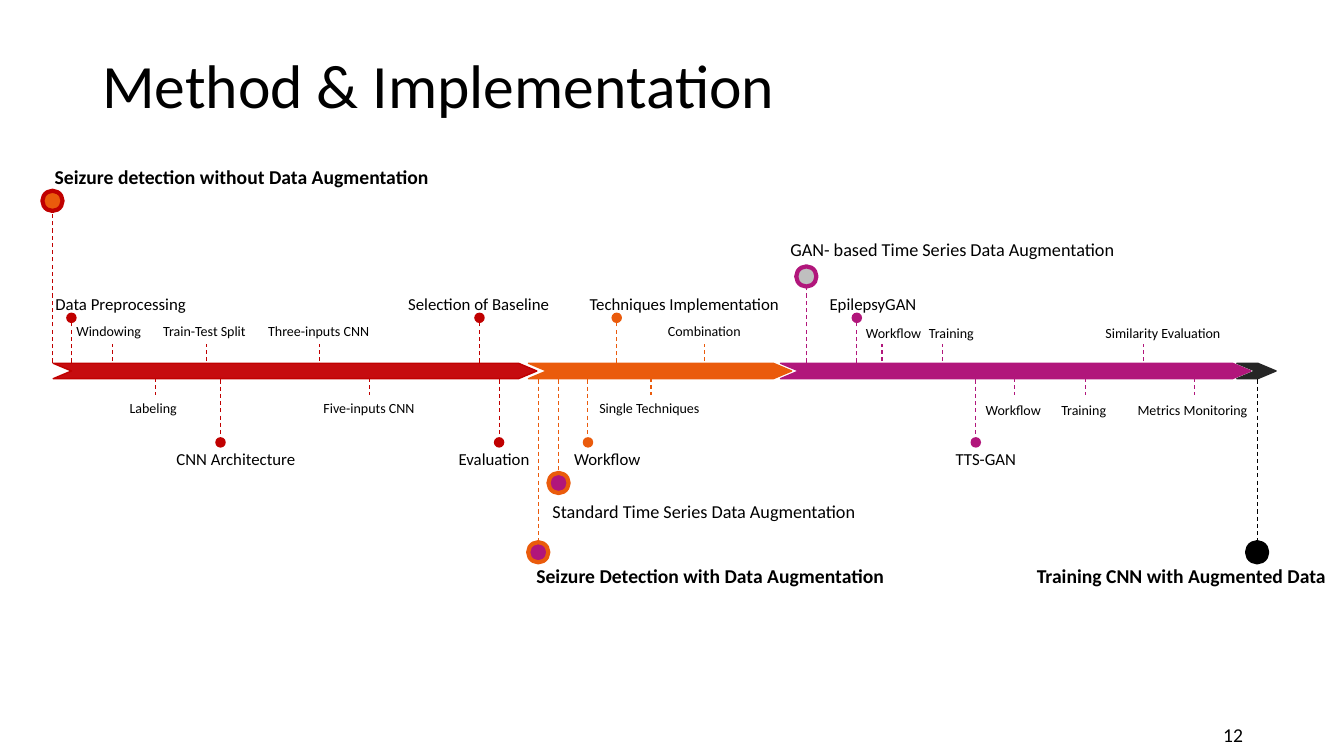
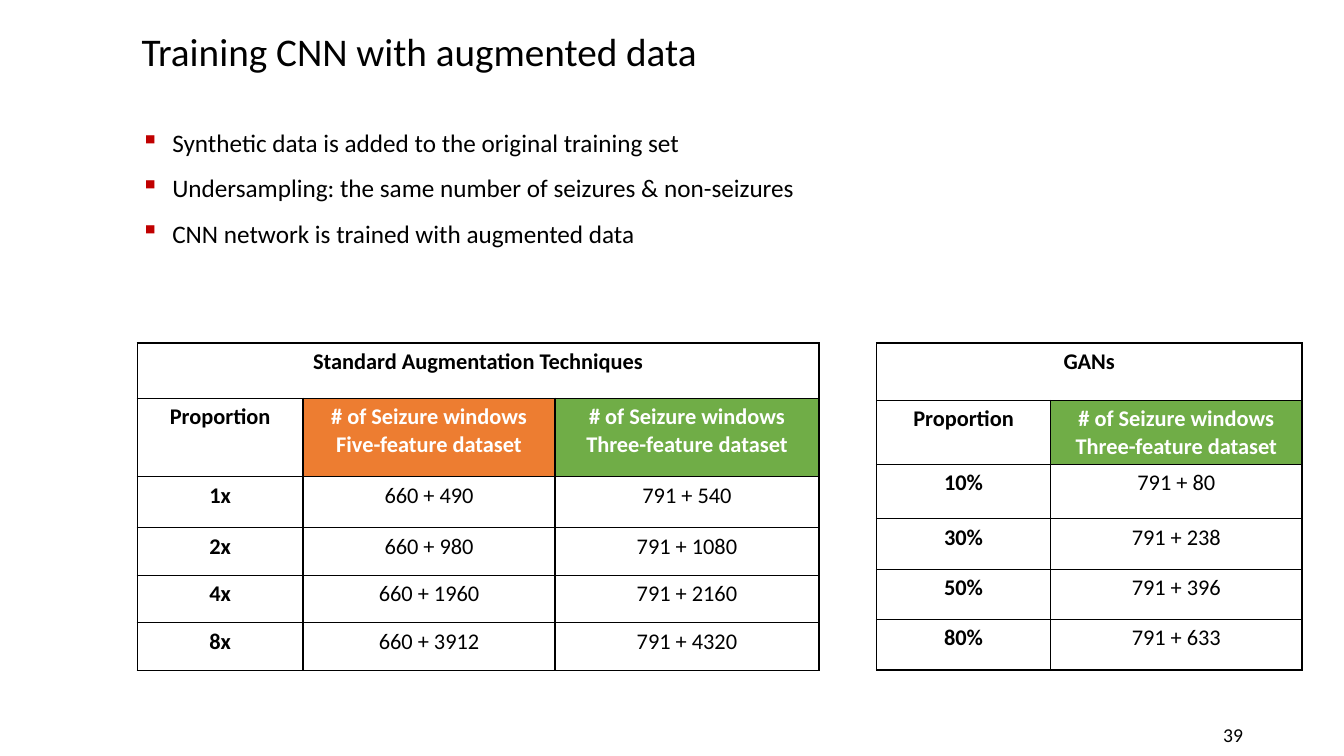
from lxml import etree
from pptx import Presentation
from pptx.dml.color import RGBColor
from pptx.enum.dml import MSO_LINE
from pptx.enum.shapes import MSO_CONNECTOR, MSO_SHAPE
from pptx.enum.text import MSO_ANCHOR, PP_ALIGN
from pptx.oxml.ns import qn
from pptx.util import Pt

DASH = MSO_LINE.DASH
STRAIGHT = MSO_CONNECTOR.STRAIGHT
DOT, BAR = MSO_SHAPE.FLOWCHART_CONNECTOR, MSO_SHAPE.CHEVRON
MIDDLE, TOP = MSO_ANCHOR.MIDDLE, MSO_ANCHOR.TOP
LEFT, CENTER, RIGHT = PP_ALIGN.LEFT, PP_ALIGN.CENTER, PP_ALIGN.RIGHT

FONT = "Calibri"
BLACK, WHITE, GRAY, DARK = "000000", "FFFFFF", "BFBFBF", "262626"
RED, CRIMSON, FLAME, PLUM = "C00000", "C60C0F", "EA5B0C", "B1167B"
AMBER, GREEN = "ED7D31", "70AD47"

BARS = [
    (8, 345.5, CRIMSON, RED),
    (527.5, 336, PLUM, PLUM),
    (347.5, 188, FLAME, FLAME),
    (853.5, 28, DARK, DARK),
]

GOALS = [
    ("Seizure detection without Data Augmentation", 2, 322.5, -150.5, 14, True,
     7.5, -121.5, FLAME, RED),
    ("GAN- based Time Series Data Augmentation", 527.5, 317.5, -98, 13, False,
     546, -67.5, GRAY, PLUM),
    ("Standard Time Series Data Augmentation", 357.5, 317.5, 88.5, 13, False,
     369, 80, PLUM, FLAME),
    ("Seizure Detection with Data Augmentation", 346, 317.5, 134.5, 14, True,
     354.5, 129.5, PLUM, FLAME),
    ("Training CNN with Augmented Data", 703.5, 223, 134.5, 14, True,
     868, 129.5, BLACK, BLACK),
]

STEPS = {
    RED: [
        ("Data Preprocessing", 2.5, 108.5, 21, True),
        ("Selection of Baseline", 254.5, 116.5, 312.5, True),
        ("CNN Architecture", 89, 100, 127.5, False),
        ("Evaluation", 290.5, 65.5, 326.5, False),
    ],
    FLAME: [
        ("Techniques Implementation", 384, 151, 410.5, True),
        ("Workflow", 373, 62.5, 390, False),
    ],
    PLUM: [
        ("EpilepsyGAN", 555.5, 77, 582, True),
        ("TTS-GAN", 645.5, 58.5, 667, False),
    ],
}

TASKS = {
    RED: [
        ("Windowing", 17.5, 61, 50.5, True),
        ("Train-Test Split", 79.5, 75.5, 117.5, True),
        ("Three-inputs CNN", 154.5, 88, 198, True),
        ("Labeling", 55.5, 49, 81, False),
        ("Five-inputs CNN", 194, 80.5, 234, False),
    ],
    FLAME: [
        ("Single Techniques", 391, 88, 435, False),
        ("Combination", 440, 67, 473.5, True),
    ],
    PLUM: [
        ("Workflow", 581.5, 54.5, 600, True),
        ("Training", 626.5, 47.5, 643, True),
        ("Similarity Evaluation", 752.5, 98, 786.5, True),
        ("Workflow", 667, 54.5, 694.5, False),
        ("Training", 721, 47.5, 745.5, False),
        ("Metrics Monitoring", 775.5, 93.5, 823, False),
    ],
}

FACTS = [
    "Synthetic data is added to the original training set",
    "Undersampling: the same number of seizures & non-seizures",
    "CNN network is trained with augmented data",
]

FIVE = "# of Seizure windows\nFive-feature dataset"
THREE = "# of Seizure windows\nThree-feature dataset"
BASIC = [
    ["Standard Augmentation Techniques", "", ""],
    ["Proportion", FIVE, THREE],
    ["1x", "660 + 490", "791 + 540"],
    ["2x", "660 + 980", "791 + 1080"],
    ["4x", "660 + 1960", "791 + 2160"],
    ["8x", "660 + 3912", "791 + 4320"],
]
GANS = [
    ["GANs", ""],
    ["Proportion", THREE],
    ["10%", "791 + 80"],
    ["30%", "791 + 238"],
    ["50%", "791 + 396"],
    ["80%", "791 + 633"],
]


def paint(target, color):
    target.solid()
    target.fore_color.rgb = RGBColor.from_string(color)


def style(par, size, color=BLACK, bold=False, align=LEFT):
    par.alignment = align
    par.font.name, par.font.size, par.font.bold = FONT, Pt(size), bold
    par.font.color.rgb = RGBColor.from_string(color)


def label(slide, text, box, size, bold=False, align=LEFT, anchor=TOP, wrap=True):
    frame = slide.shapes.add_textbox(*map(Pt, box)).text_frame
    frame.word_wrap, frame.vertical_anchor = wrap, anchor
    frame.text = text
    for par in frame.paragraphs:
        style(par, size, bold=bold, align=align)
    return frame


def stem(slide, x, start, end, color):
    line = slide.shapes.add_connector(STRAIGHT, Pt(x), Pt(start), Pt(x), Pt(end))
    paint(line.line.fill, color)
    line.line.width, line.line.dash_style = Pt(0.75), DASH
    etree.SubElement(line._element.spPr, qn("a:effectLst"))


def solid(slide, kind, box, fill, edge=None, width=1):
    shape = slide.shapes.add_shape(kind, *map(Pt, box))
    shape.shadow.inherit = False
    paint(shape.fill, fill)
    if edge:
        paint(shape.line.fill, edge)
        shape.line.width = Pt(width)
    else:
        shape.line.fill.background()
    return shape


def disc(slide, x, y, size, fill, edge=None):
    box = (x - size / 2, y - size / 2, size, size)
    solid(slide, DOT, box, fill, edge, 3)


def goal(slide, left, axis, item):
    text, x, width, drop, size, bold, spot, rise, fill, edge = item
    side = -1 if rise < 0 else 1
    stem(slide, left + spot, axis + 6 * side, axis + rise - 7.2 * side, edge)
    disc(slide, left + spot, axis + rise, 14.4, fill, edge)
    label(slide, text, (left + x, axis + drop, width, 24), size, bold)


def step(slide, left, axis, item, color):
    text, x, width, spot, above = item
    side, rise, drop = (-1, -38, -59) if above else (1, 51, 52)
    stem(slide, left + spot, axis + 6 * side, axis + rise - 3.75 * side, color)
    disc(slide, left + spot, axis + rise, 7.5, color)
    label(slide, text, (left + x, axis + drop, width, 22), 12, wrap=False)


def task(slide, left, axis, item, color):
    text, x, width, spot, above = item
    drift = 1 if color == PLUM else 0
    start, end, drop = (-7, -19, -38) if above else (5, 17, 17)
    stem(slide, left + spot, axis + start, axis + end, color)
    box = (left + x, axis + drop + drift, width, 19.5)
    label(slide, text, box, 10, wrap=False)


def chart(slide, left, axis):
    for x, width, fill, edge in BARS:
        bar = solid(slide, BAR, (left + x, axis - 5.5, width, 11), fill, edge)
        bar.adjustments[0] = 1.19
    for item in GOALS:
        goal(slide, left, axis, item)
    for draw, group in ((step, STEPS), (task, TASKS)):
        for color, items in group.items():
            for item in items:
                draw(slide, left, axis, item, color)


def border(cell):
    props = cell._tc.get_or_add_tcPr()
    for side in ("lnL", "lnR", "lnT", "lnB"):
        line = etree.SubElement(props, qn("a:" + side), w=str(Pt(1)))
        fill = etree.SubElement(line, qn("a:solidFill"))
        etree.SubElement(fill, qn("a:srgbClr"), val=BLACK)


def grid(slide, x, y, data, cols, rows, fills):
    box = (x, y, sum(cols), sum(rows))
    table = slide.shapes.add_table(len(rows), len(cols), *map(Pt, box)).table
    table.first_row = table.horz_banding = False
    for col, width in zip(table.columns, cols):
        col.width = Pt(width)
    for row, height in zip(table.rows, rows):
        row.height = Pt(height)
    for r, row in enumerate(data):
        for c, text in enumerate(row):
            cell = table.cell(r, c)
            tinted = r == 1 and c > 0
            border(cell)
            paint(cell.fill, fills[c - 1] if tinted else WHITE)
            cell.text = text
            for par in cell.text_frame.paragraphs:
                style(par, 16, WHITE if tinted else BLACK, r < 2 or c == 0, CENTER)
    table.cell(0, 0).merge(table.cell(0, len(cols) - 1))


def bullets(slide, box):
    frame = label(slide, "\n".join(FACTS), box, 18, wrap=False)
    for par in frame.paragraphs:
        props = par._p.get_or_add_pPr()
        props.set("marL", str(Pt(22.5)))
        props.set("indent", str(Pt(-22.5)))
        tint = etree.SubElement(props, qn("a:buClr"))
        etree.SubElement(tint, qn("a:srgbClr"), val=RED)
        etree.SubElement(props, qn("a:buChar"), char="▪")
        par.line_spacing = 1.5


def page(deck, title, box, size, number):
    slide = deck.slides.add_slide(deck.slide_layouts[6])
    frame = label(slide, title, box, size, anchor=MIDDLE)
    frame.paragraphs[0].line_spacing = 0.9
    label(slide, number, (679, 510, 216, 29), 14, align=RIGHT, anchor=MIDDLE)
    return slide


def main():
    deck = Presentation()
    deck.slide_width, deck.slide_height = Pt(960), Pt(540)
    plan = page(deck, "Method & Implementation", (66, 11, 828, 104), 44, "12")
    chart(plan, 30, 265)
    train = page(deck, "Training CNN with augmented data", (94, 7, 816, 63), 28, "39")
    bullets(train, (93.5, 76.5, 486.5, 102))
    grid(train, 98, 245, BASIC, (118.5, 180, 188.5),
         (39.5, 56, 36.5, 34, 34, 34), (AMBER, GREEN))
    grid(train, 626, 245, GANS, (124.5, 179.5),
         (41, 45, 39, 36, 36, 36), (GREEN,))
    deck.save("out.pptx")


if __name__ == "__main__":
    main()
